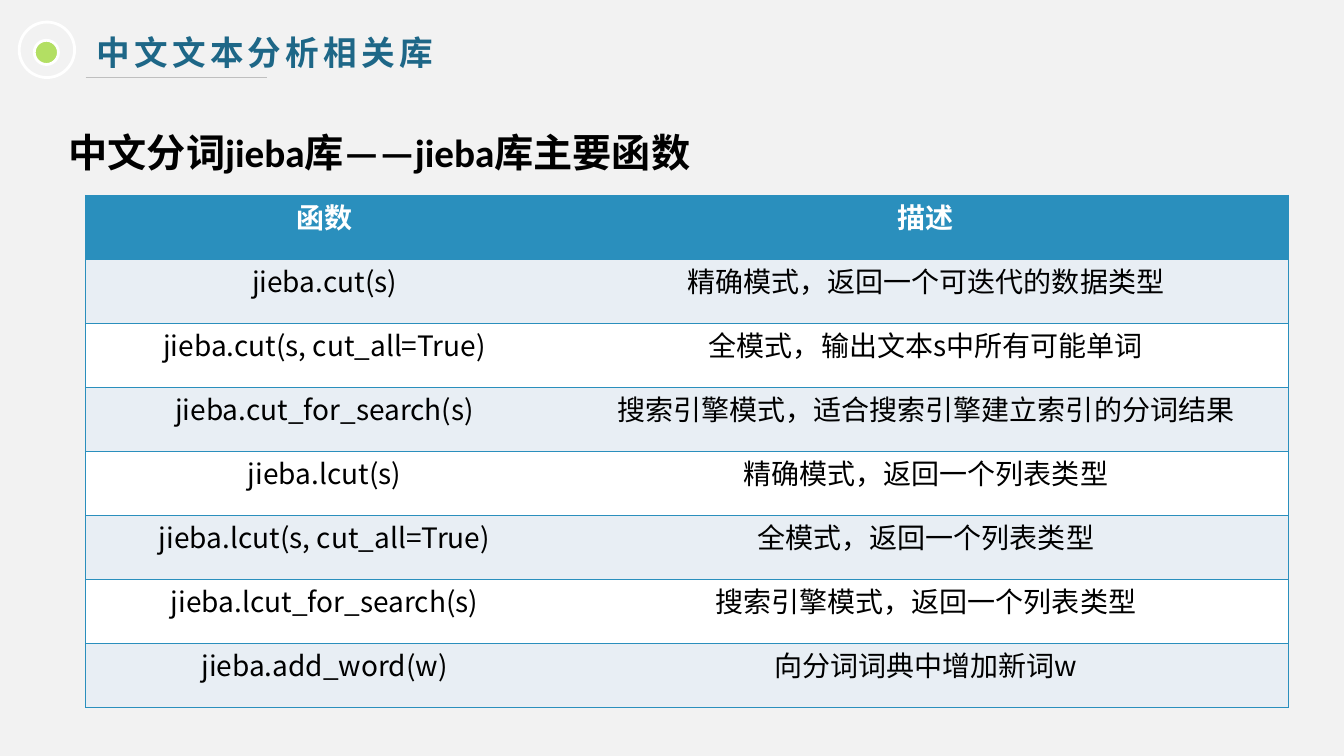
from dataclasses import dataclass
from typing import Optional

import pptx
import pptx.dml.color
import pptx.enum.shapes
import pptx.enum.text
import pptx.oxml.ns
import pptx.util
from lxml import etree

Pt = pptx.util.Pt
RGBColor = pptx.dml.color.RGBColor
qn = pptx.oxml.ns.qn

BACKGROUND = RGBColor(0xF2, 0xF2, 0xF2)
WHITE = RGBColor(0xFF, 0xFF, 0xFF)
BLACK = RGBColor(0x00, 0x00, 0x00)
TITLE_BLUE = RGBColor(0x1E, 0x67, 0x87)
TABLE_BLUE = RGBColor(0x2A, 0x8F, 0xBD)
BAND = RGBColor(0xE8, 0xEE, 0xF4)
GREEN = RGBColor(0xB3, 0xDF, 0x63)
GRAY = RGBColor(0xBF, 0xBF, 0xBF)
HEADING_FONT = "Noto Sans CJK SC"
BODY_FONT = "Calibri"


@dataclass(frozen=True)
class Circle:
    left: float
    top: float
    diameter: float
    fill: Optional[RGBColor]


@dataclass(frozen=True)
class TextStyle:
    size: float
    font: str
    color: RGBColor
    bold: bool
    spacing: float = 0


@dataclass(frozen=True)
class FunctionRow:
    function: str
    description: str


CIRCLES = [
    Circle(24.5, 28.8, 17.3, GREEN),
    Circle(13.7, 15.8, 39.6, None),
]

ROWS = [
    FunctionRow("函数", "描述"),
    FunctionRow("jieba.cut(s)", "精确模式，返回一个可迭代的数据类型"),
    FunctionRow("jieba.cut(s, cut_all=True)", "全模式，输出文本s中所有可能单词"),
    FunctionRow("jieba.cut_for_search(s)", "搜索引擎模式，适合搜索引擎建立索引的分词结果"),
    FunctionRow("jieba.lcut(s)", "精确模式，返回一个列表类型"),
    FunctionRow("jieba.lcut(s, cut_all=True)", "全模式，返回一个列表类型"),
    FunctionRow("jieba.lcut_for_search(s)", "搜索引擎模式，返回一个列表类型"),
    FunctionRow("jieba.add_word(w)", "向分词词典中增加新词w"),
]
COLUMN_WIDTHS = (341.3, 517.7)
ROW_HEIGHT = 45.7

TITLE_STYLE = TextStyle(24, HEADING_FONT, TITLE_BLUE, True, 3)
SUBTITLE_STYLE = TextStyle(28, BODY_FONT, BLACK, True)
HEADER_STYLE = TextStyle(20, HEADING_FONT, WHITE, True)
CELL_STYLE = TextStyle(20, HEADING_FONT, BLACK, False)


def format_runs(paragraph, style: TextStyle) -> None:
    for run in paragraph.runs:
        run.font.size = Pt(style.size)
        run.font.bold = style.bold
        run.font.color.rgb = style.color
        run.font.name = style.font
        properties = run.font._element
        east_asian = etree.SubElement(properties, qn("a:ea"))
        east_asian.set("typeface", style.font)
        if style.spacing:
            properties.set("spc", str(int(style.spacing * 100)))


def fill_placeholder(shape, text: str, box: tuple, style: TextStyle,
                     anchor: pptx.enum.text.MSO_ANCHOR):
    shape.left, shape.top, shape.width, shape.height = map(Pt, box)
    frame = shape.text_frame
    frame.text = text
    frame.word_wrap = True
    frame.auto_size = pptx.enum.text.MSO_AUTO_SIZE.SHAPE_TO_FIT_TEXT
    frame.vertical_anchor = anchor
    paragraph = frame.paragraphs[0]
    paragraph.alignment = pptx.enum.text.PP_ALIGN.LEFT
    paragraph.space_before = Pt(0)
    format_runs(paragraph, style)
    return paragraph


def add_circle(group, circle: Circle) -> None:
    shape = group.shapes.add_shape(
        pptx.enum.shapes.MSO_SHAPE.OVAL, Pt(circle.left), Pt(circle.top),
        Pt(circle.diameter), Pt(circle.diameter))
    shape.shadow.inherit = False
    if circle.fill is None:
        shape.fill.background()
    else:
        shape.fill.solid()
        shape.fill.fore_color.rgb = circle.fill
    shape.line.color.rgb = WHITE
    shape.line.width = Pt(2)


def set_border(cell, side: str, color: Optional[RGBColor]) -> None:
    properties = cell._tc.get_or_add_tcPr()
    line = etree.SubElement(properties, qn(f"a:ln{side}"), w=str(Pt(1)))
    if color is None:
        etree.SubElement(line, qn("a:noFill"))
    else:
        fill = etree.SubElement(line, qn("a:solidFill"))
        etree.SubElement(fill, qn("a:srgbClr"), val=str(color))


def fill_cell(cell, text: str, row: int, column: int) -> None:
    # Borders come before the fill in the cell's properties
    set_border(cell, "L", TABLE_BLUE if column == 0 else None)
    set_border(cell, "R", None if column == 0 else TABLE_BLUE)
    set_border(cell, "T", TABLE_BLUE)
    set_border(cell, "B", TABLE_BLUE)
    cell.fill.solid()
    if row == 0:
        cell.fill.fore_color.rgb = TABLE_BLUE
    else:
        cell.fill.fore_color.rgb = BAND if row % 2 else WHITE
    cell.margin_left = cell.margin_right = Pt(4.3)
    cell.margin_top, cell.margin_bottom = Pt(0.7), Pt(0)
    cell.vertical_anchor = pptx.enum.text.MSO_ANCHOR.MIDDLE
    paragraph = cell.text_frame.paragraphs[0]
    paragraph.text = text
    paragraph.alignment = pptx.enum.text.PP_ALIGN.CENTER
    paragraph.line_spacing = Pt(12)
    format_runs(paragraph, CELL_STYLE if row else HEADER_STYLE)


def add_function_table(slide) -> None:
    table = slide.shapes.add_table(
        len(ROWS), len(COLUMN_WIDTHS), Pt(61.2), Pt(139.7),
        Pt(sum(COLUMN_WIDTHS)), Pt(ROW_HEIGHT * len(ROWS))).table
    table.horz_banding = False
    for column, width in zip(table.columns, COLUMN_WIDTHS):
        column.width = Pt(width)
    for index, row in enumerate(ROWS):
        table.rows[index].height = Pt(ROW_HEIGHT)
        fill_cell(table.cell(index, 0), row.function, index, 0)
        fill_cell(table.cell(index, 1), row.description, index, 1)


def main() -> None:
    presentation = pptx.Presentation()
    presentation.slide_width = Pt(960)
    presentation.slide_height = Pt(540)
    slide = presentation.slides.add_slide(presentation.slide_layouts[1])
    slide.background.fill.solid()
    slide.background.fill.fore_color.rgb = BACKGROUND

    # Title and subtitle
    fill_placeholder(slide.shapes.title, "中文文本分析相关库", (61.9, 19.4, 492.5, 36),
                     TITLE_STYLE, pptx.enum.text.MSO_ANCHOR.MIDDLE)
    subtitle = fill_placeholder(
        slide.placeholders[1], "中文分词jieba库——jieba库主要函数",
        (41.8, 71.3, 887, 52.6), SUBTITLE_STYLE, pptx.enum.text.MSO_ANCHOR.TOP)
    subtitle.line_spacing = 1.5
    subtitle.space_after = Pt(12)
    properties = subtitle._p.get_or_add_pPr()
    properties.set("marL", "0")
    properties.set("indent", "0")
    etree.SubElement(properties, qn("a:buNone"))

    # Round badge and title underline
    badge = slide.shapes.add_group_shape()
    for circle in CIRCLES:
        add_circle(badge, circle)
    underline = slide.shapes.add_connector(
        pptx.enum.shapes.MSO_CONNECTOR.STRAIGHT,
        Pt(61.2), Pt(55.4), Pt(190.8), Pt(55.4))
    underline.line.color.rgb = GRAY
    underline.line.width = Pt(0.75)
    etree.SubElement(underline._element.spPr, qn("a:effectLst"))

    add_function_table(slide)
    presentation.save("out.pptx")


if __name__ == "__main__":
    main()
